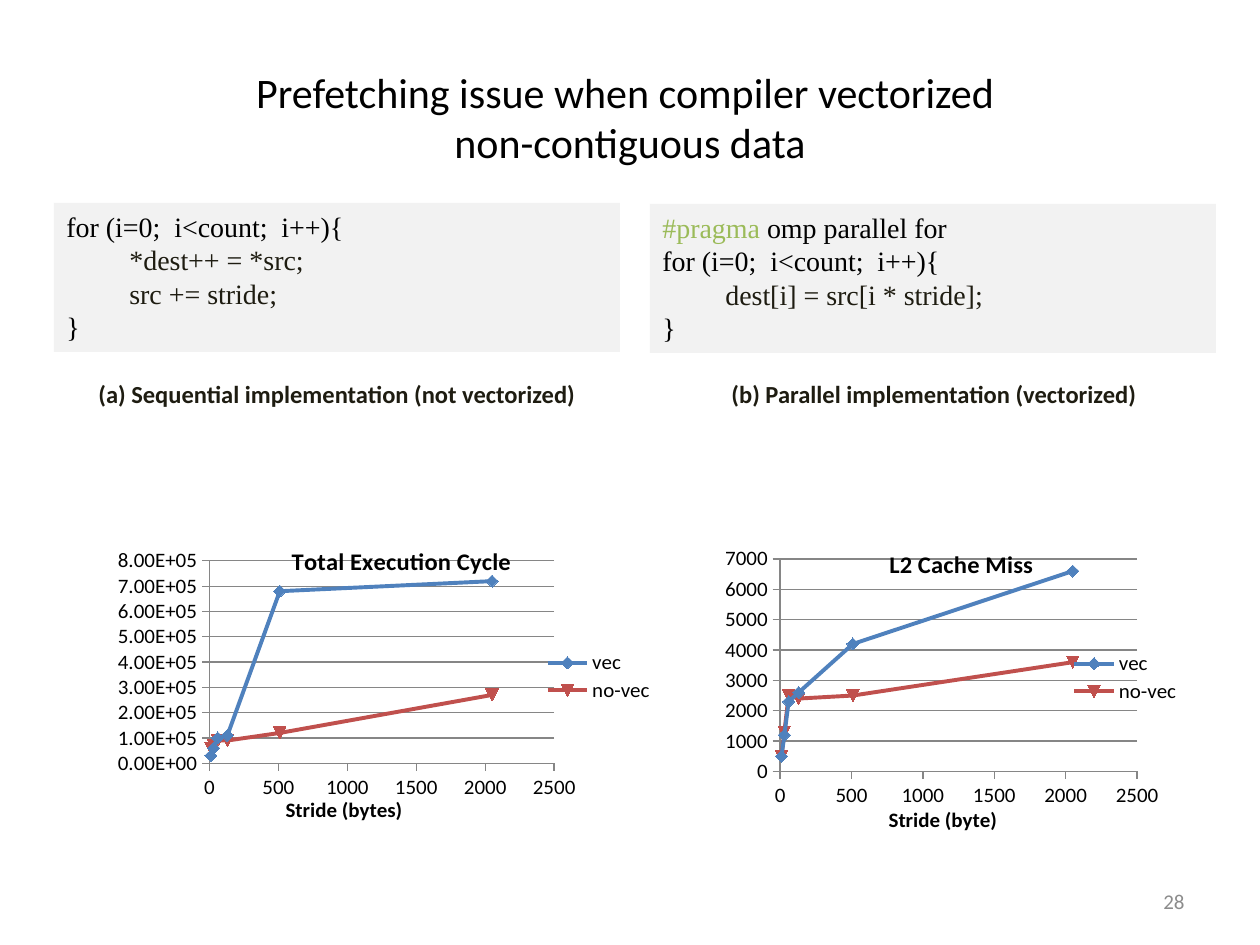
from pptx import Presentation
from pptx.chart.data import XyChartData
from pptx.dml.color import RGBColor
from pptx.enum.chart import XL_CHART_TYPE, XL_LEGEND_POSITION, XL_TICK_MARK
from pptx.enum.shapes import MSO_SHAPE
from pptx.enum.text import MSO_ANCHOR, PP_ALIGN
from pptx.oxml import parse_xml
from pptx.oxml.ns import nsdecls
from pptx.util import Emu, Pt

BLACK = RGBColor(0x00, 0x00, 0x00)
INK = RGBColor(0x1E, 0x1C, 0x11)
GREEN = RGBColor(0x9B, 0xBB, 0x59)
PANEL = RGBColor(0xF2, 0xF2, 0xF2)
GRAY = RGBColor(0x8C, 0x8C, 0x8C)
GRID = RGBColor(0x86, 0x86, 0x86)
BLUE = RGBColor(0x4F, 0x81, 0xBD)
RED = RGBColor(0xC0, 0x50, 0x4D)

BREAK = "\v"
STRIDES = [10, 30, 60, 130, 510, 2050]
LOOP = (0, [("for (i=0;  i<count;  i++){", BLACK)])
CLOSE = (0, [("}", BLACK)])


def px(length):
    return Emu(round(length * 914400 / 126))


def assign(target, values):
    for name, value in values.items():
        setattr(target, name, value)


class SlideBuilder:
    """Draws styled text, code panels and charts on the current slide."""

    body_font = "Calibri"
    code_font = "Times New Roman"

    def __init__(self, deck):
        self.page = deck.slides.add_slide(deck.slide_layouts[6])

    def add_lines(self, frame, lines, size, font, bold=False, align=PP_ALIGN.LEFT):
        frame.word_wrap = True
        for index, (level, spans) in enumerate(lines):
            para = frame.paragraphs[0] if index == 0 else frame.add_paragraph()
            assign(para, {"level": level, "alignment": align})
            for text, color in spans:
                if text == BREAK:
                    para.add_line_break()
                    continue
                span = para.add_run()
                span.text = text
                assign(span.font, {"name": font, "size": Pt(size), "bold": bold})
                span.font.color.rgb = color

    def text(self, area, spans, size, align, anchor=MSO_ANCHOR.TOP, bold=False):
        box = self.page.shapes.add_textbox(*map(px, area))
        box.text_frame.vertical_anchor = anchor
        self.add_lines(box.text_frame, [(0, spans)], size, self.body_font, bold, align)

    def code(self, area, lines):
        panel = self.page.shapes.add_shape(MSO_SHAPE.RECTANGLE, *map(px, area))
        panel.shadow.inherit = False
        panel.fill.solid()
        panel.fill.fore_color.rgb = PANEL
        panel.line.fill.background()
        panel.text_frame.vertical_anchor = MSO_ANCHOR.TOP
        self.add_lines(panel.text_frame, lines, 16, self.code_font)

    def place(self, element, index, **fractions):
        for old in element.xpath("./c:layout"):
            element.remove(old)
        target = '<c:layoutTarget val="inner"/>' if index == 0 else ""
        modes = "".join(f'<c:{key}Mode val="edge"/>' for key in "xy")
        sizes = "".join(f'<c:{key} val="{value}"/>' for key, value in fractions.items())
        element.insert(index, parse_xml(
            f'<c:layout {nsdecls("c")}><c:manualLayout>{target}{modes}{sizes}'
            "</c:manualLayout></c:layout>"))

    def label(self, title, text, size, x, y):
        self.add_lines(title.text_frame, [(0, [(text, BLACK)])], size, self.body_font, True,
                       PP_ALIGN.CENTER)
        self.place(title.element, 1, x=x, y=y)

    def chart(self, area, title, axis_title, series, value_axis, plot, legend,
              title_at, axis_title_at):
        data = XyChartData()
        for name, _, values in series:
            points = data.add_series(name)
            for stride, value in zip(STRIDES, values):
                points.add_data_point(stride, value)
        chart = self.page.shapes.add_chart(
            XL_CHART_TYPE.XY_SCATTER_LINES, *map(px, area), data).chart
        assign(chart.font, {"name": self.body_font, "size": Pt(12)})
        chart.font.color.rgb = BLACK
        assign(chart, {"has_title": True, "has_legend": True})
        assign(chart.legend, {"position": XL_LEGEND_POSITION.RIGHT,
                              "include_in_layout": False})
        chart.plots[0].vary_by_categories = False

        strides, values = chart.category_axis, chart.value_axis
        assign(strides, {"minimum_scale": 0, "maximum_scale": 2500, "major_unit": 500})
        assign(values, {"minimum_scale": 0, **value_axis["scale"]})
        assign(values.tick_labels, {"number_format": value_axis["format"],
                                    "number_format_is_linked": False})
        for axis, grid in ((strides, False), (values, True)):
            assign(axis, {"has_major_gridlines": grid,
                          "major_tick_mark": XL_TICK_MARK.OUTSIDE})
            axis.format.line.color.rgb = GRID
        values.major_gridlines.format.line.color.rgb = GRID

        self.label(chart.chart_title, title, 14, *title_at)
        self.label(strides.axis_title, axis_title, 12, *axis_title_at)
        for tag, index, region in (("plotArea", 0, plot), ("legend", 1, legend)):
            self.place(chart.element.xpath(f".//c:{tag}")[0], index,
                       **dict(zip("xywh", region)))

        for points, (_, color, _) in zip(chart.plots[0].series, series):
            assign(points, {"smooth": False})
            assign(points.format.line, {"width": Pt(2.25)})
            points.format.line.color.rgb = color
            points.marker.size = 7
            points.marker.format.fill.solid()
            points.marker.format.fill.fore_color.rgb = color
            points.marker.format.line.color.rgb = color


def main():
    deck = Presentation()
    assign(deck, {"slide_width": px(1260), "slide_height": px(945)})
    slide = SlideBuilder(deck)
    slide.text((63, 38, 1134, 157),
               [("Prefetching issue when compiler vectorized ", BLACK), (BREAK, BLACK),
                ("non-contiguous data", BLACK)],
               24, PP_ALIGN.CENTER, MSO_ANCHOR.MIDDLE)

    slide.chart(
        (115, 532, 556, 297), "Total Execution Cycle", "Stride (bytes)",
        [("vec", BLUE, [30000, 60000, 100000, 110000, 680000, 720000]),
         ("no-vec", RED, [60000, 70000, 90000, 90000, 120000, 270000])],
        {"format": "0.00E+00", "scale": {"maximum_scale": 800000, "major_unit": 100000}},
        plot=(0.17, 0.1, 0.62, 0.7), legend=(0.77, 0.4, 0.2, 0.2),
        title_at=(0.31, 0.03), axis_title_at=(0.3, 0.9))
    slide.chart(
        (723, 522, 476, 317), "L2 Cache Miss", "Stride (byte)",
        [("vec", BLUE, [500, 1200, 2300, 2600, 4200, 6600]),
         ("no-vec", RED, [500, 1300, 2500, 2400, 2500, 3600])],
        {"format": "General", "scale": {"maximum_scale": 7000, "major_unit": 1000}},
        plot=(0.12, 0.12, 0.75, 0.69), legend=(0.73, 0.41, 0.23, 0.19),
        title_at=(0.34, 0.07), axis_title_at=(0.34, 0.91))

    slide.code((54, 203, 566, 149),
               [LOOP, (1, [("*dest++ = *src;", INK)]), (1, [("src += stride;", INK)]), CLOSE])
    slide.code((650, 204, 566, 149),
               [(0, [("#pragma ", GREEN), ("omp parallel for", BLACK)]), LOOP,
                (1, [("dest[i] = src[i * stride];", INK)]), CLOSE])
    for left, caption in ((54, "(a) Sequential implementation (not vectorized)"),
                          (651, "(b) Parallel implementation (vectorized)")):
        slide.text((left, 373, 566, 43), [(caption, INK)], 14, PP_ALIGN.CENTER, bold=True)
    slide.text((903, 876, 294, 50), [("28", GRAY)], 12, PP_ALIGN.RIGHT, MSO_ANCHOR.MIDDLE)
    deck.save("out.pptx")


if __name__ == "__main__":
    main()
